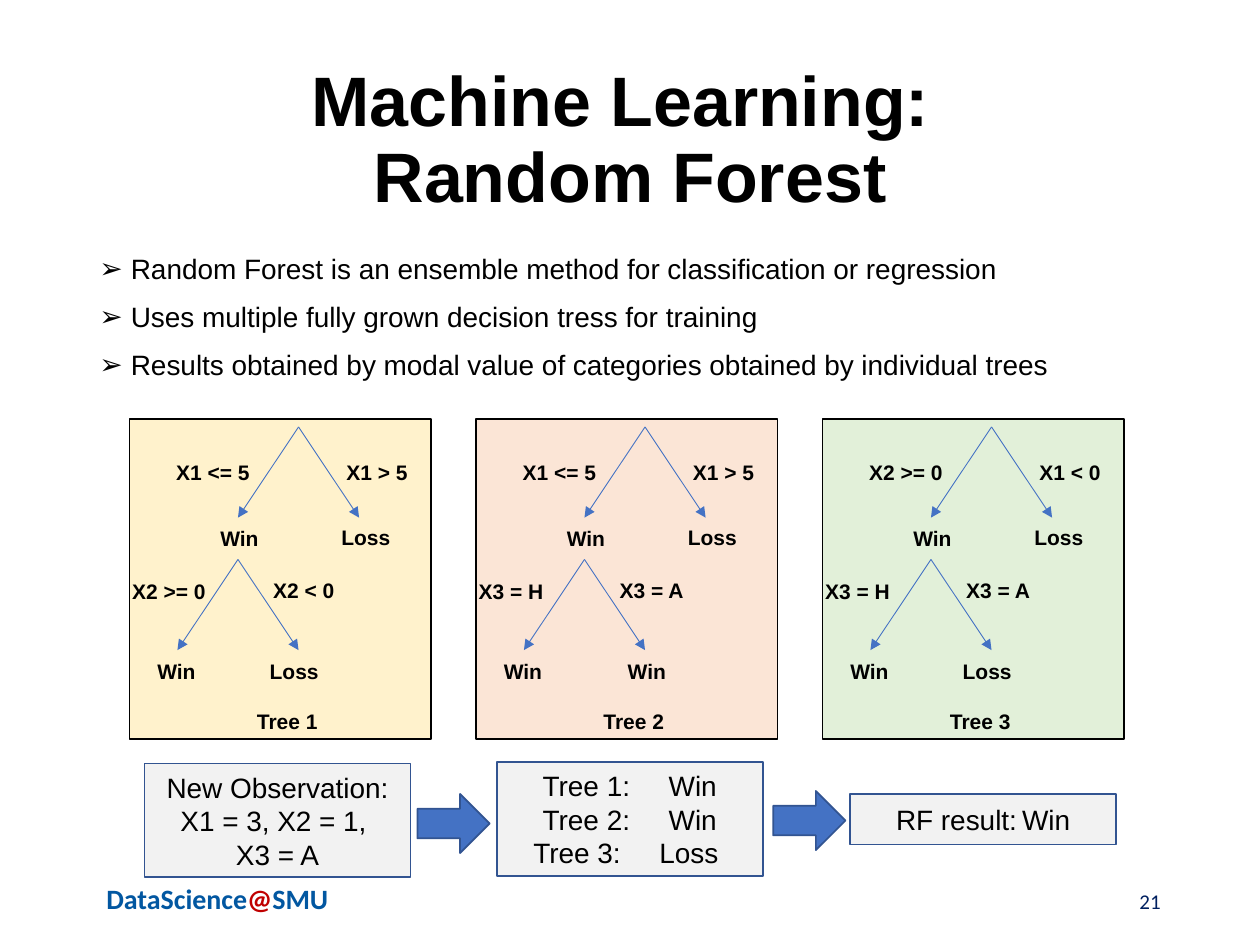
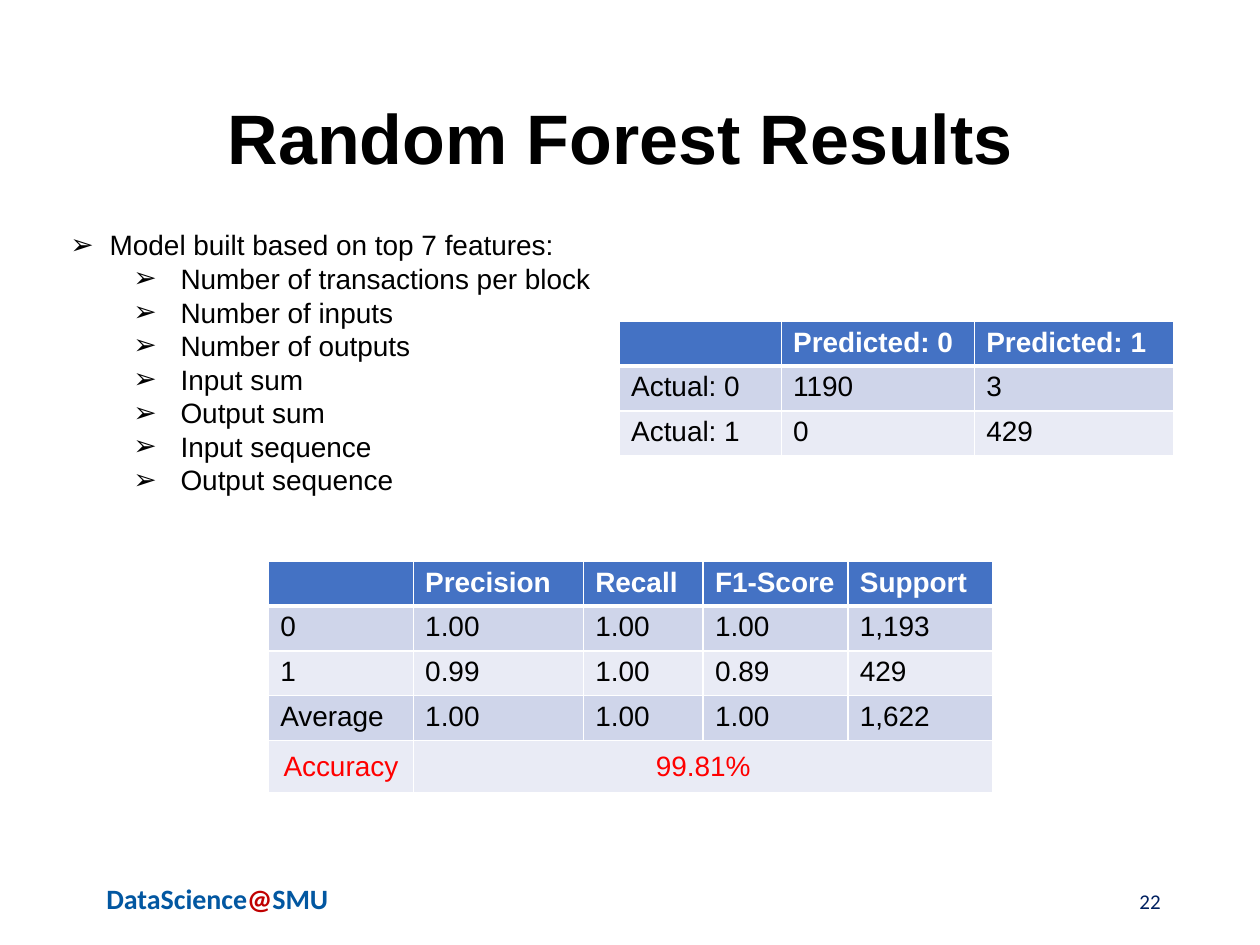
from lxml import etree
from pptx import Presentation
from pptx import util as u
from pptx.dml.color import RGBColor
from pptx.enum import shapes, text
from pptx.oxml import ns

Pt = u.Pt
BLACK = RGBColor(0x00, 0x00, 0x00)
WHITE = RGBColor(0xFF, 0xFF, 0xFF)
RED = RGBColor(0xFF, 0x00, 0x00)
BLUE = RGBColor(0x44, 0x72, 0xC4)
OUTLINE = RGBColor(0x32, 0x54, 0x91)
NAVY = RGBColor(0x00, 0x20, 0x60)
FOOTER_BLUE = RGBColor(0x02, 0x57, 0xA1)
FOOTER_RED = RGBColor(0xC0, 0x00, 0x00)
YELLOW_PANEL = RGBColor(0xFF, 0xF2, 0xCC)
ORANGE_PANEL = RGBColor(0xFB, 0xE5, 0xD6)
GREEN_PANEL = RGBColor(0xE2, 0xF0, 0xD9)
GREY_PANEL = RGBColor(0xF2, 0xF2, 0xF2)
BANDS = [RGBColor(0xE9, 0xEB, 0xF5), RGBColor(0xCF, 0xD5, 0xEA)]
LEFT, CENTER, RIGHT = text.PP_ALIGN.LEFT, text.PP_ALIGN.CENTER, text.PP_ALIGN.RIGHT
TOP, MIDDLE = text.MSO_ANCHOR.TOP, text.MSO_ANCHOR.MIDDLE


def add_run(paragraph, words, size=16, color=BLACK, bold=False, font="Arial"):
    run = paragraph.add_run()
    run.text = words
    run.font.size = Pt(size)
    run.font.color.rgb = color
    run.font.bold = bold
    run.font.name = font


def add_box(slide, left, top, width, height, anchor=MIDDLE, align=LEFT):
    box = slide.shapes.add_textbox(Pt(left), Pt(top), Pt(width), Pt(height))
    frame = box.text_frame
    frame.word_wrap = True
    frame.vertical_anchor = anchor
    frame.paragraphs[0].alignment = align
    return frame


presentation = Presentation()
presentation.slide_width = Pt(720)
presentation.slide_height = Pt(540)

titles = [["Machine Learning: ", "Random Forest"], ["Random Forest Results "]]
slides = []
for number, title_lines in enumerate(titles, 21):
    slide = presentation.slides.add_slide(presentation.slide_layouts[6])
    slides.append(slide)
    paragraph = add_box(slide, 49.7, 500.4, 149, 38, TOP, CENTER).paragraphs[0]
    for words, color in [("DataScience", FOOTER_BLUE), ("@", FOOTER_RED), ("SMU", FOOTER_BLUE)]:
        add_run(paragraph, words, 16, color, True, "Calibri")
    paragraph = add_box(slide, 508.3, 500.4, 162, 28.8, MIDDLE, RIGHT).paragraphs[0]
    add_run(paragraph, str(number), 12, NAVY, False, "Calibri")
    paragraph = add_box(slide, 49.7, 28.8, 620.6, 104.4, MIDDLE, CENTER).paragraphs[0]
    paragraph.line_spacing = 0.9
    for index, line in enumerate(title_lines):
        if index:
            paragraph.add_line_break()
        add_run(paragraph, line, 40, BLACK, True)
forest_slide, results_slide = slides

method_points = [
    "Random Forest is an ensemble method for classification or regression",
    "Uses multiple fully grown decision tress for training",
    "Results obtained by modal value of categories obtained by individual trees",
]
features = [
    "Model built based on top 7 features:",
    "Number of transactions per block",
    "Number of inputs",
    "Number of outputs",
    "Input sum",
    "Output sum",
    "Input sequence",
    "Output sequence",
]
method_frame = add_box(forest_slide, 49.7, 142.6, 620.6, 81.4, TOP)
feature_frame = add_box(results_slide, 33.1, 126.7, 355, 162.7, TOP)
bullet_lists = [
    (method_frame, method_points, [(18, 18)] * 3, 0.9, 10),
    (feature_frame, features, [(22.5, 22.5)] + [(63, 27)] * 7, 1, 0),
]
for frame, points, indents, spacing, gap in bullet_lists:
    for index, (point, (margin, hanging)) in enumerate(zip(points, indents)):
        paragraph = frame.add_paragraph() if index else frame.paragraphs[0]
        properties = paragraph._p.get_or_add_pPr()
        properties.set("marL", str(Pt(margin)))
        properties.set("indent", str(-Pt(hanging)))
        etree.SubElement(properties, ns.qn("a:buFont")).set("typeface", "Arial")
        etree.SubElement(properties, ns.qn("a:buChar")).set("char", "➢")
        paragraph.line_spacing = spacing
        if index:
            paragraph.space_before = Pt(gap)
        add_run(paragraph, point)

label_spots = [
    (19.6, 262.8), (116.8, 262.8), (44.8, 301), (114, 300.4),
    (-5.6, 331), (75, 330.6), (8.8, 376.6), (73, 377), (65.7, 405.4),
]
trees = [
    (YELLOW_PANEL, ["X1 <= 5", "X1 > 5", "Win", "Loss", "X2 >= 0", "X2 < 0", "Win", "Loss", "Tree 1"]),
    (ORANGE_PANEL, ["X1 <= 5", "X1 > 5", "Win", "Loss", "X3 = H", "X3 = A", "Win", "Win", "Tree 2"]),
    (GREEN_PANEL, ["X2 >= 0", "X1 < 0", "Win", "Loss", "X3 = H", "X3 = A", "Win", "Loss", "Tree 3"]),
]
for index, (color, labels) in enumerate(trees):
    tree_left = 74 + 198 * index
    panel = forest_slide.shapes.add_shape(
        shapes.MSO_SHAPE.RECTANGLE, Pt(tree_left), Pt(239.3), Pt(172.3), Pt(182.9))
    panel.shadow.inherit = False
    panel.fill.solid()
    panel.fill.fore_color.rgb = color
    panel.line.color.rgb = BLACK
    panel.line.width = Pt(1)
    for node_left, node_top in [(96.6, 244), (62, 319.7)]:
        for reach in (-34.6, 34.6):
            start = tree_left + node_left
            branch = forest_slide.shapes.add_connector(
                shapes.MSO_CONNECTOR.STRAIGHT, Pt(start), Pt(node_top),
                Pt(start + reach), Pt(node_top + 51.8))
            branch.line.color.rgb = BLUE
            branch.line.width = Pt(0.5)
            properties = branch.element.spPr
            line = properties.find(ns.qn("a:ln"))
            etree.SubElement(line, ns.qn("a:tailEnd")).set("type", "triangle")
            etree.SubElement(properties, ns.qn("a:effectLst"))
    for spot, (label, (left, top)) in enumerate(zip(labels, label_spots)):
        if spot == 7 and label == "Win":
            left += 6.6
        frame = add_box(forest_slide, tree_left + left, top, 61.2, 13.5)
        add_run(frame.paragraphs[0], label, 12, BLACK, True)

RECTANGLE, ARROW = shapes.MSO_SHAPE.RECTANGLE, shapes.MSO_SHAPE.RIGHT_ARROW
flow_steps = [
    (RECTANGLE, 82.6, 436.3, 152, 65, ["New Observation:", "X1 = 3, X2 = 1, ", "X3 = A"]),
    (RECTANGLE, 283.9, 435.5, 152, 65, ["Tree 1:\tWin", "Tree 2:\tWin", "Tree 3:\tLoss "]),
    (RECTANGLE, 485.8, 453.6, 152, 29, ["RF result:\tWin"]),
    (ARROW, 238.5, 453.7, 41.3, 33.8, []),
    (ARROW, 441.8, 452, 41.3, 33.8, []),
]
for kind, left, top, width, height, lines in flow_steps:
    step = forest_slide.shapes.add_shape(kind, Pt(left), Pt(top), Pt(width), Pt(height))
    step.shadow.inherit = False
    step.fill.solid()
    step.fill.fore_color.rgb = GREY_PANEL if lines else BLUE
    step.line.color.rgb = OUTLINE
    step.line.width = Pt(1)
    frame = step.text_frame
    frame.vertical_anchor = MIDDLE
    for index, line in enumerate(lines):
        paragraph = frame.add_paragraph() if index else frame.paragraphs[0]
        paragraph.alignment = CENTER
        add_run(paragraph, line)

scores = [
    ["", "Precision", "Recall", "F1-Score", "Support"],
    ["0", "1.00", "1.00", "1.00", "1,193"],
    ["1", "0.99", "1.00", "0.89", "429"],
    ["Average", "1.00", "1.00", "1.00", "1,622"],
    ["Accuracy", "99.81%", "", "", ""],
]
confusion = [
    ["", "Predicted: 0", "Predicted: 1"],
    ["Actual: 0", "1190", "3"],
    ["Actual: 1", "0", "429"],
]
tables = [
    (scores, 153.4, 320.8, [82.8, 97.2, 68.4, 82.8, 82.8], [24.8] * 4 + [30]),
    (confusion, 353.9, 183.6, [92.6, 110.4, 113.8], [25.2] * 3),
]
for values, left, top, widths, heights in tables:
    table = results_slide.shapes.add_table(
        len(heights), len(widths), Pt(left), Pt(top), Pt(sum(widths)), Pt(sum(heights))).table
    table.first_row = False
    table.horz_banding = False
    for column, width in zip(table.columns, widths):
        column.width = Pt(width)
    for row_index, (row, height) in enumerate(zip(values, heights)):
        table.rows[row_index].height = Pt(height)
        header = row_index == 0
        accuracy = row[0] == "Accuracy"
        for column_index, value in enumerate(row):
            cell = table.cell(row_index, column_index)
            cell.margin_left = cell.margin_right = Pt(6.8)
            cell.margin_top = cell.margin_bottom = Pt(3.2)
            cell.vertical_anchor = MIDDLE if accuracy else TOP
            cell.fill.solid()
            cell.fill.fore_color.rgb = BLUE if header else BANDS[row_index % 2]
            properties = cell._tc.get_or_add_tcPr()
            for position, side in enumerate(["lnL", "lnR", "lnT", "lnB"]):
                thick = (row_index, side) in [(0, "lnB"), (1, "lnT")]
                border = etree.Element(ns.qn("a:" + side), w=str(Pt(3 if thick else 1)))
                fill = etree.SubElement(border, ns.qn("a:solidFill"))
                etree.SubElement(fill, ns.qn("a:srgbClr")).set("val", str(WHITE))
                properties.insert(position, border)
            paragraph = cell.text_frame.paragraphs[0]
            paragraph.alignment = CENTER if accuracy else LEFT
            if value:
                color = WHITE if header else RED if accuracy else BLACK
                add_run(paragraph, value, 16, color, header)
            else:
                etree.SubElement(paragraph._p, ns.qn("a:endParaRPr")).set("sz", "1600")
        if accuracy:
            table.cell(row_index, 1).merge(table.cell(row_index, len(row) - 1))

presentation.save("out.pptx")
